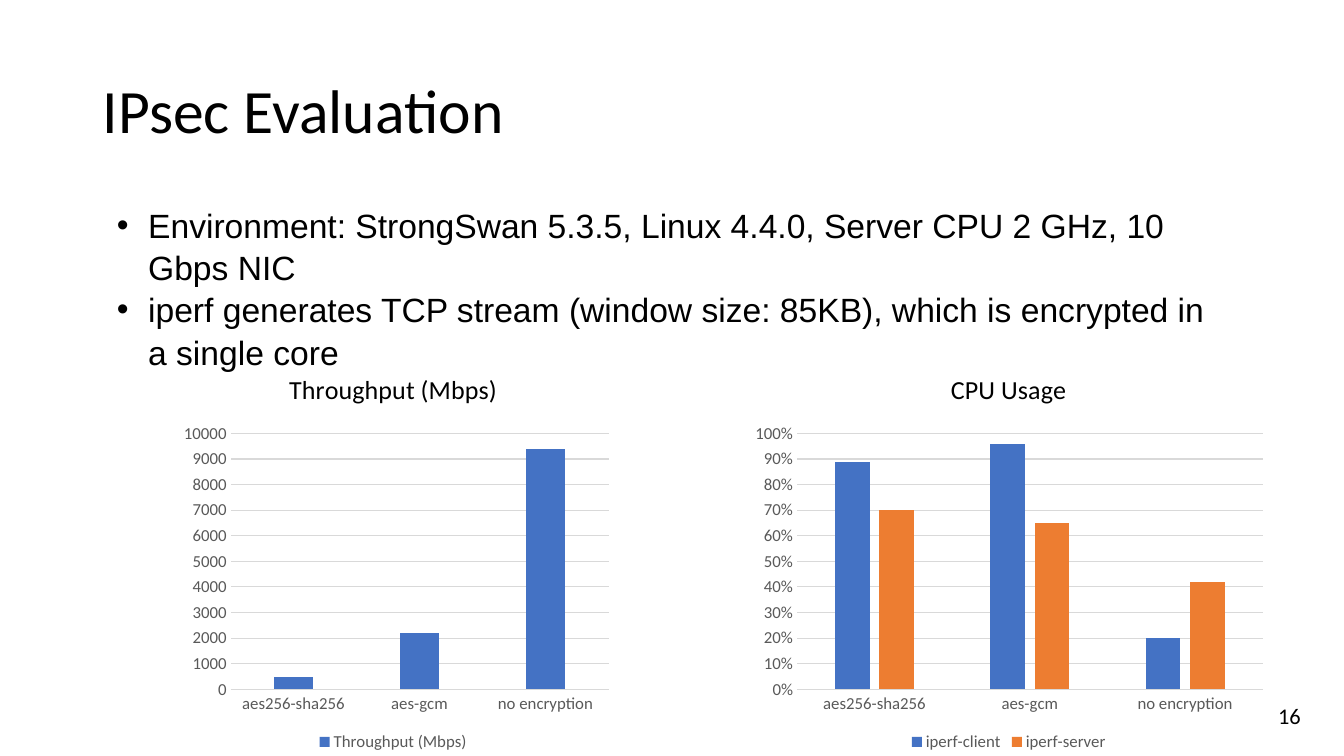
"""Build the IPsec evaluation slide with two column charts."""
from lxml.etree import SubElement
from pptx import Presentation
from pptx.chart.data import CategoryChartData
from pptx.dml.color import RGBColor
from pptx.enum.chart import XL_CHART_TYPE, XL_LEGEND_POSITION, XL_TICK_MARK
from pptx.enum.text import MSO_ANCHOR, MSO_AUTO_SIZE, PP_ALIGN
from pptx.oxml.ns import qn
from pptx.util import Inches, Pt

TITLE = "IPsec Evaluation"
POINTS = [
    "Environment: StrongSwan 5.3.5, Linux 4.4.0, Server CPU 2 GHz, 10 Gbps NIC",
    "iperf generates TCP stream (window size: 85KB), which is encrypted in a single core",
]
PAGE = "16"
CATS = ["aes256-sha256", "aes-gcm", "no encryption"]
CHARTS = [
    {"title": "Throughput (Mbps)", "box": (1.72, 3.5, 4.36, 4),
     "plot": (0.13, 0.2, 0.86, 0.635), "top": 10000, "step": 1000, "format": "General",
     "series": [("Throughput (Mbps)", (500, 2200, 9400), "4472C4")]},
    {"title": "CPU Usage", "box": (7.38, 3.5, 5.25, 4),
     "plot": (0.1, 0.2, 0.88, 0.635), "top": 1, "step": 0.1, "format": "0%",
     "series": [("iperf-client", (0.89, 0.96, 0.2), "4472C4"),
                ("iperf-server", (0.7, 0.65, 0.42), "ED7D31")]},
]
BLACK, GRAY, RULE = "000000", "595959", "D9D9D9"


def color(code):
    return RGBColor.from_string(code)


def style(font, size, name="Calibri", code=BLACK):
    font.size, font.name, font.bold = Pt(size), name, False
    font.color.rgb = color(code)


def place(shape, box):
    shape.left, shape.top, shape.width, shape.height = map(Inches, box)


def write(para, text, size, name="Calibri"):
    run = para.add_run()
    run.text = text
    style(run.font, size, name)


def bullet(para):
    props = para._p.get_or_add_pPr()
    props.set("marL", str(Inches(0.31)))
    props.set("indent", str(Inches(-0.31)))
    SubElement(props, qn("a:buFont")).set("typeface", "Arial")
    SubElement(props, qn("a:buChar")).set("char", "•")


def set_plot(chart, box):
    area = chart._chartSpace.chart.plotArea
    for old in area.findall(qn("c:layout")):
        area.remove(old)
    layout = SubElement(area, qn("c:layout"))
    area.insert(0, layout)
    manual = SubElement(layout, qn("c:manualLayout"))
    parts = [("layoutTarget", "inner"), ("xMode", "edge"), ("yMode", "edge")]
    for tag, val in parts + list(zip("xywh", box)):
        SubElement(manual, qn("c:" + tag)).set("val", str(val))


def rule(line):
    line.color.rgb = color(RULE)
    line.width = Pt(0.75)


def add_columns(slide, item):
    data = CategoryChartData(number_format=item["format"])
    data.categories = CATS
    for name, vals, _ in item["series"]:
        data.add_series(name, vals)
    kind = XL_CHART_TYPE.COLUMN_CLUSTERED
    chart = slide.shapes.add_chart(kind, *map(Inches, item["box"]), data).chart
    style(chart.font, 10)
    chart.has_title = True
    write(chart.chart_title.text_frame.paragraphs[0], item["title"], 18.6)
    chart.chart_title.include_in_layout = False
    chart.has_legend = True
    chart.legend.position = XL_LEGEND_POSITION.BOTTOM
    chart.legend.include_in_layout = False
    style(chart.legend.font, 12, code=GRAY)

    plot = chart.plots[0]
    plot.gap_width, plot.overlap, plot.vary_by_categories = 219, -27, False
    for bars, (_, _, code) in zip(plot.series, item["series"]):
        bars.format.fill.solid()
        bars.format.fill.fore_color.rgb = color(code)

    cat, val = chart.category_axis, chart.value_axis
    for axis in (cat, val):
        axis.major_tick_mark = axis.minor_tick_mark = XL_TICK_MARK.NONE
        style(axis.tick_labels.font, 12, code=GRAY)
    rule(cat.format.line)
    val.format.line.fill.background()
    val.has_major_gridlines = True
    rule(val.major_gridlines.format.line)
    val.minimum_scale, val.maximum_scale, val.major_unit = 0, item["top"], item["step"]
    val.tick_labels.number_format = item["format"]
    val.tick_labels.number_format_is_linked = False
    set_plot(chart, item["plot"])


def main():
    deck = Presentation()
    deck.slide_width, deck.slide_height = Inches(13.33), Inches(7.5)
    slide = deck.slides.add_slide(deck.slide_layouts[1])

    title, body = slide.shapes.title, slide.placeholders[1]
    place(title, (0.92, 0.4, 11.5, 1.45))
    title.text_frame.vertical_anchor = MSO_ANCHOR.MIDDLE
    title.text_frame.auto_size = MSO_AUTO_SIZE.NONE
    head = title.text_frame.paragraphs[0]
    head.alignment, head.line_spacing = PP_ALIGN.LEFT, 0.9
    write(head, TITLE, 44)

    place(body, (1.06, 1.96, 11.09, 2.52))
    frame = body.text_frame
    frame.auto_size = MSO_AUTO_SIZE.NONE
    for i, text in enumerate(POINTS):
        para = frame.add_paragraph() if i else frame.paragraphs[0]
        bullet(para)
        para.space_before, para.line_spacing = Pt(0), 1.05
        write(para, text, 24, "Arial")

    for item in CHARTS:
        add_columns(slide, item)

    page = slide.shapes.add_textbox(*map(Inches, (10, 6.9, 3, 0.4))).text_frame
    page.word_wrap, page.vertical_anchor = True, MSO_ANCHOR.MIDDLE
    page.paragraphs[0].alignment = PP_ALIGN.RIGHT
    write(page.paragraphs[0], PAGE, 16)
    deck.save("out.pptx")


if __name__ == "__main__":
    main()
